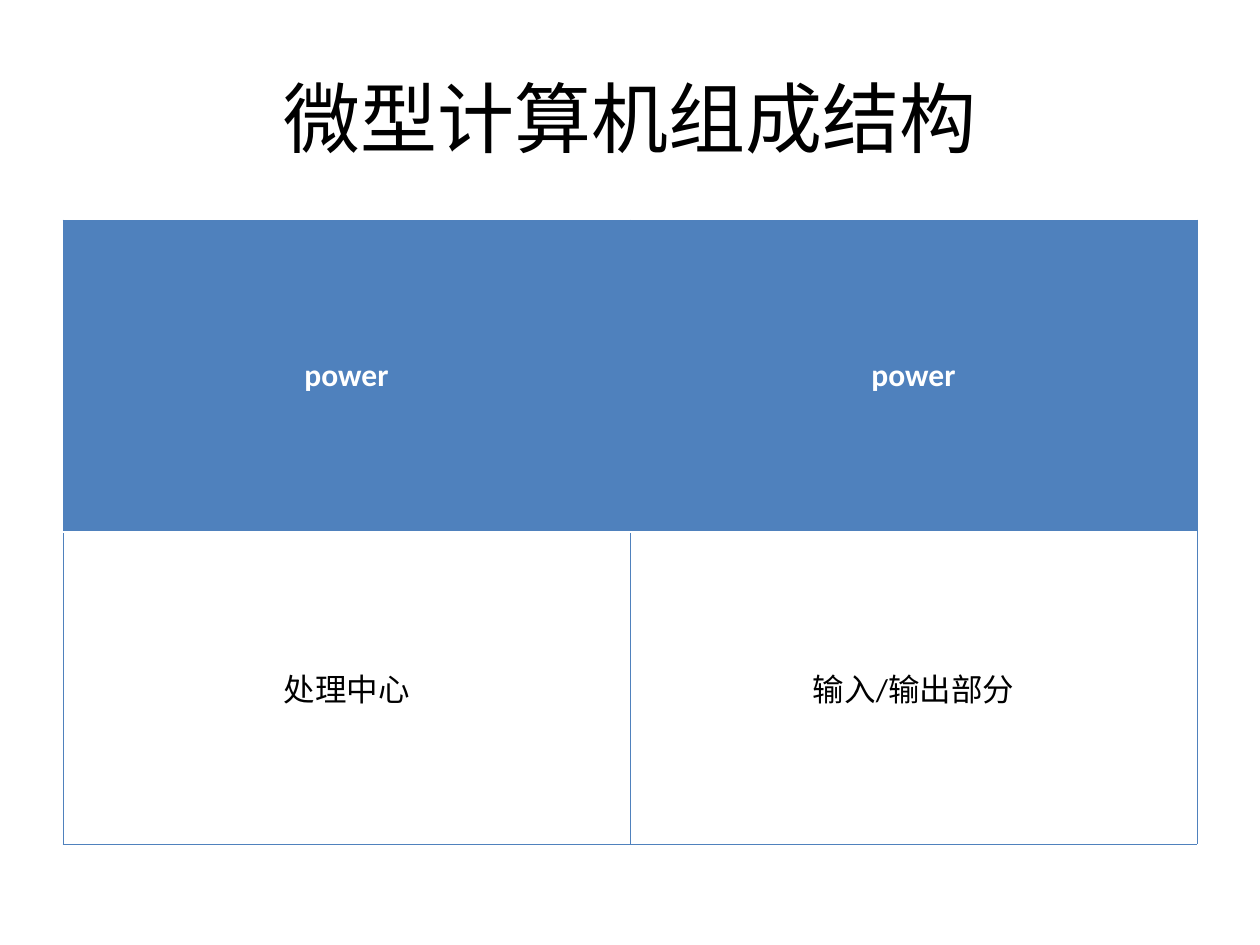
from dataclasses import dataclass
from typing import Optional

from lxml import etree
from pptx import Presentation
from pptx.dml.color import RGBColor
from pptx.enum.text import MSO_ANCHOR, PP_ALIGN
from pptx.oxml.ns import qn
from pptx.util import Emu, Pt

CENTER = PP_ALIGN.CENTER
MIDDLE = MSO_ANCHOR.MIDDLE
PX_PER_INCH = 126


@dataclass(frozen=True)
class Theme:
    blue: str = "4F81BD"
    white: str = "FFFFFF"
    black: str = "000000"
    title_font: str = "Arial"
    cell_font: str = "Calibri"
    title_size: float = 44
    cell_size: float = 18
    cell_space: float = 4.5
    thin: float = 0.45
    thick: float = 1.47


@dataclass(frozen=True)
class TextStyle:
    font: str
    size: float
    color: str
    bold: bool = False
    space_before: float = 0


@dataclass(frozen=True)
class Border:
    color: str
    width: float


@dataclass(frozen=True)
class RowStyle:
    height: int
    labels: tuple[str, ...]
    text: TextStyle
    fill: Optional[str]
    top: Border
    bottom: Border


THEME = Theme()
GRID = Border(THEME.blue, THEME.thin)
DIVIDER = Border(THEME.white, THEME.thick)

TITLE = TextStyle(THEME.title_font, THEME.title_size, THEME.black)
HEADER = TextStyle(THEME.cell_font, THEME.cell_size, THEME.white, True, THEME.cell_space)
BODY = TextStyle(THEME.cell_font, THEME.cell_size, THEME.black, False, THEME.cell_space)

ROWS = (
    RowStyle(312, ("power", "power"), HEADER, THEME.blue, GRID, DIVIDER),
    RowStyle(312, ("处理中心", "输入/输出部分"), BODY, None, DIVIDER, GRID),
)


def px(length: int) -> Emu:
    return Emu(round(length * 914400 / PX_PER_INCH))


def write(frame, text: str, style: TextStyle) -> None:
    paragraph = frame.paragraphs[0]
    paragraph.alignment = CENTER
    paragraph.space_before = Pt(style.space_before)
    run = paragraph.add_run()
    run.text = text
    run.font.name = style.font
    run.font.size = Pt(style.size)
    run.font.bold = style.bold
    run.font.color.rgb = RGBColor.from_string(style.color)


def set_borders(cell, top: Border, bottom: Border) -> None:
    properties = cell._tc.get_or_add_tcPr()
    sides = (("a:lnL", GRID), ("a:lnR", GRID), ("a:lnT", top), ("a:lnB", bottom))
    for position, (tag, border) in enumerate(sides):
        line = etree.Element(qn(tag), w=str(Pt(border.width)))
        fill = etree.SubElement(line, qn("a:solidFill"))
        etree.SubElement(fill, qn("a:srgbClr"), val=border.color)
        properties.insert(position, line)


def add_title(slide, text: str) -> None:
    heading = slide.shapes.add_textbox(px(63), px(38), px(1134), px(157))
    heading.text_frame.word_wrap = True
    heading.text_frame.vertical_anchor = MIDDLE
    write(heading.text_frame, text, TITLE)


def add_structure_table(slide, rows: tuple[RowStyle, ...]) -> None:
    height = sum(row.height for row in rows)
    structure = slide.shapes.add_table(
        len(rows), len(rows[0].labels), px(63), px(220), px(1134), px(height)
    ).table
    structure.first_row = False
    structure.horz_banding = False
    for row_index, row in enumerate(rows):
        structure.rows[row_index].height = px(row.height)
        for column_index, label in enumerate(row.labels):
            cell = structure.cell(row_index, column_index)
            cell.vertical_anchor = MIDDLE
            if row.fill:
                cell.fill.solid()
                cell.fill.fore_color.rgb = RGBColor.from_string(row.fill)
            else:
                cell.fill.background()
            set_borders(cell, row.top, row.bottom)
            write(cell.text_frame, label, row.text)


def main() -> None:
    deck = Presentation()
    deck.slide_width, deck.slide_height = px(1260), px(945)
    slide = deck.slides.add_slide(deck.slide_layouts[6])

    # Heading
    add_title(slide, "微型计算机组成结构")

    # Power row above the processing and input/output parts
    add_structure_table(slide, ROWS)

    deck.save("out.pptx")


if __name__ == "__main__":
    main()
